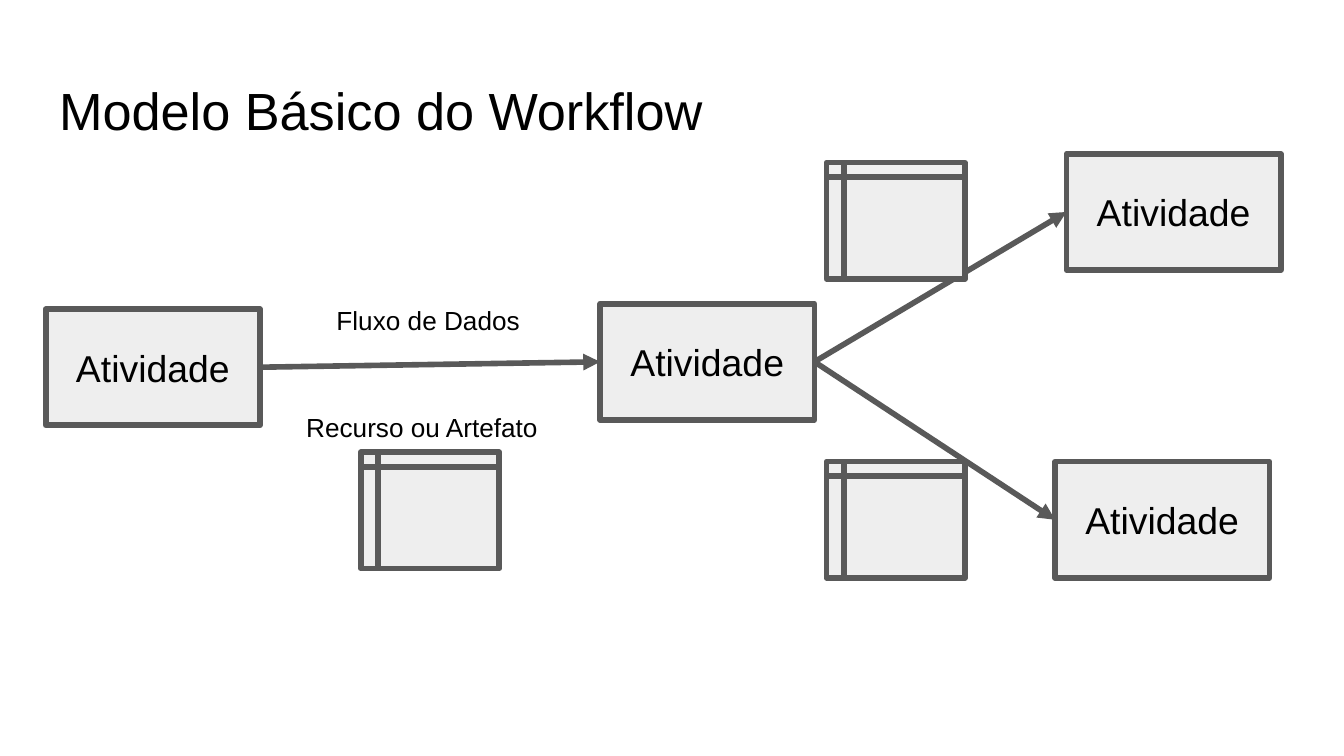
"""Build the basic workflow model slide."""
from lxml.etree import SubElement
from pptx import Presentation
from pptx.dml.color import RGBColor as Rgb
from pptx.enum.shapes import MSO_CONNECTOR as Link, MSO_SHAPE as Kind
from pptx.enum.text import MSO_ANCHOR as Anchor, MSO_AUTO_SIZE as Fit, PP_ALIGN as Align
from pptx.oxml.ns import qn
from pptx.util import Pt

PX = 4572
HUE = {"text": "000000", "fill": "EEEEEE", "line": "595959"}


def write(shape, text, size, align=Align.LEFT, anchor=Anchor.TOP):
    frame = shape.text_frame
    frame.word_wrap = True
    frame.auto_size = Fit.NONE
    frame.vertical_anchor = anchor
    frame.margin_left = frame.margin_right = 20 * PX
    frame.margin_top = frame.margin_bottom = 20 * PX
    para = frame.paragraphs[0]
    para.alignment = align
    run = para.add_run()
    run.text = text
    run.font.size = Pt(size)
    run.font.name = "Arial"
    run.font.color.rgb = Rgb.from_string(HUE["text"])


def draw(kind, left, top, width):
    shape = slide.shapes.add_shape(kind, left * PX, top * PX, width * PX, 173 * PX)
    shape.shadow.inherit = False
    shape.fill.solid()
    shape.fill.fore_color.rgb = Rgb.from_string(HUE["fill"])
    shape.line.color.rgb = Rgb.from_string(HUE["line"])
    shape.line.width = Pt(3)
    return shape


deck = Presentation()
deck.slide_width, deck.slide_height = 2000 * PX, 1125 * PX
slide = deck.slides.add_slide(deck.slide_layouts[5])

title = slide.shapes.title
title.left, title.top, title.width, title.height = 68 * PX, 97 * PX, 1864 * PX, 125 * PX
write(title, "Modelo Básico do Workflow", 28)

tasks = []
for left, top in [(68, 460), (893, 452), (1587, 229), (1570, 687)]:
    task = draw(Kind.RECTANGLE, left, top, 319)
    write(task, "Atividade", 20, Align.CENTER, Anchor.MIDDLE)
    tasks.append(task)

for text, left, top, width in [
    ("Fluxo de Dados", 481, 433, 319),
    ("Recurso ou Artefato", 436, 592, 408),
]:
    label = slide.shapes.add_textbox(left * PX, top * PX, width * PX, 106 * PX)
    write(label, text, 14)

for start, end in [(0, 1), (1, 2), (1, 3)]:
    arrow = slide.shapes.add_connector(Link.STRAIGHT, 0, 0, 0, 0)
    arrow.begin_connect(tasks[start], 3)
    arrow.end_connect(tasks[end], 1)
    arrow.line.color.rgb = Rgb.from_string(HUE["line"])
    arrow.line.width = Pt(3)
    SubElement(arrow.line._get_or_add_ln(), qn("a:tailEnd"), type="triangle")
    SubElement(arrow._element.spPr, qn("a:effectLst"))

for left, top in [(537, 673), (1230, 242), (1230, 687)]:
    draw(Kind.FLOWCHART_INTERNAL_STORAGE, left, top, 206)

deck.save("out.pptx")
